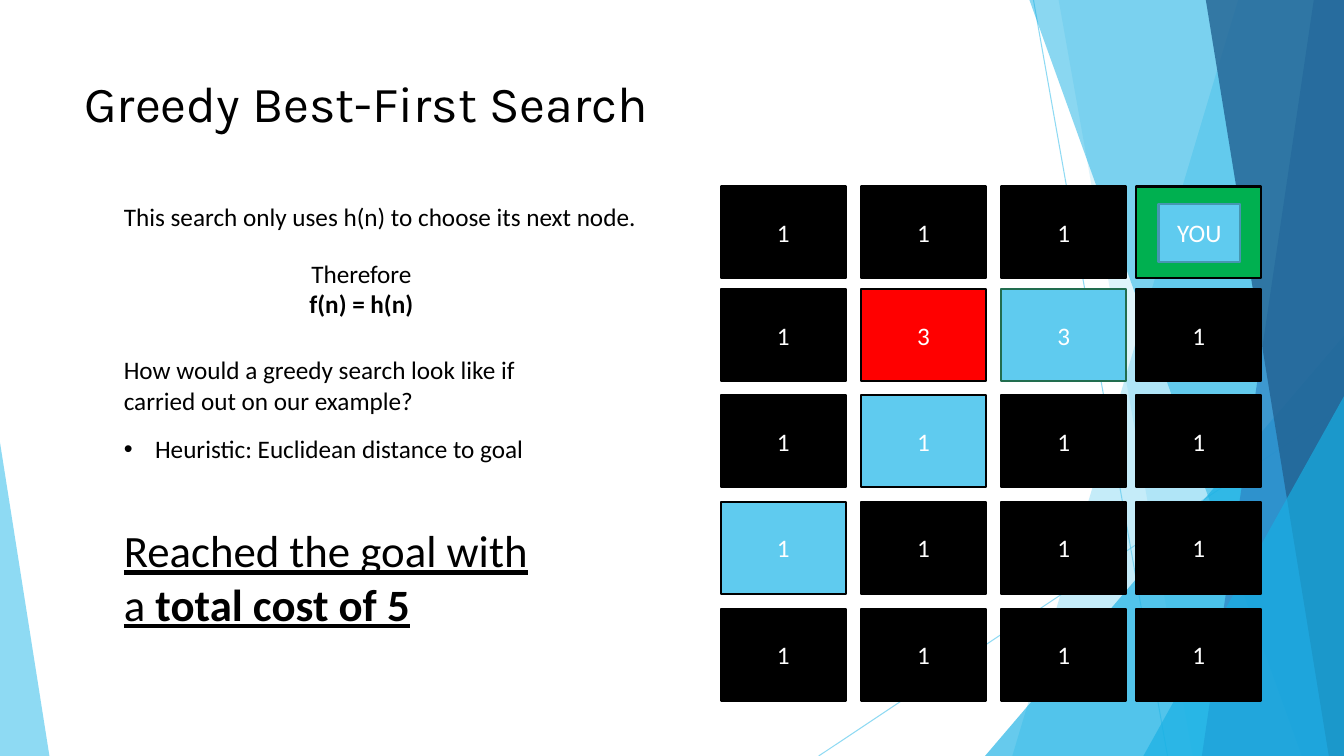
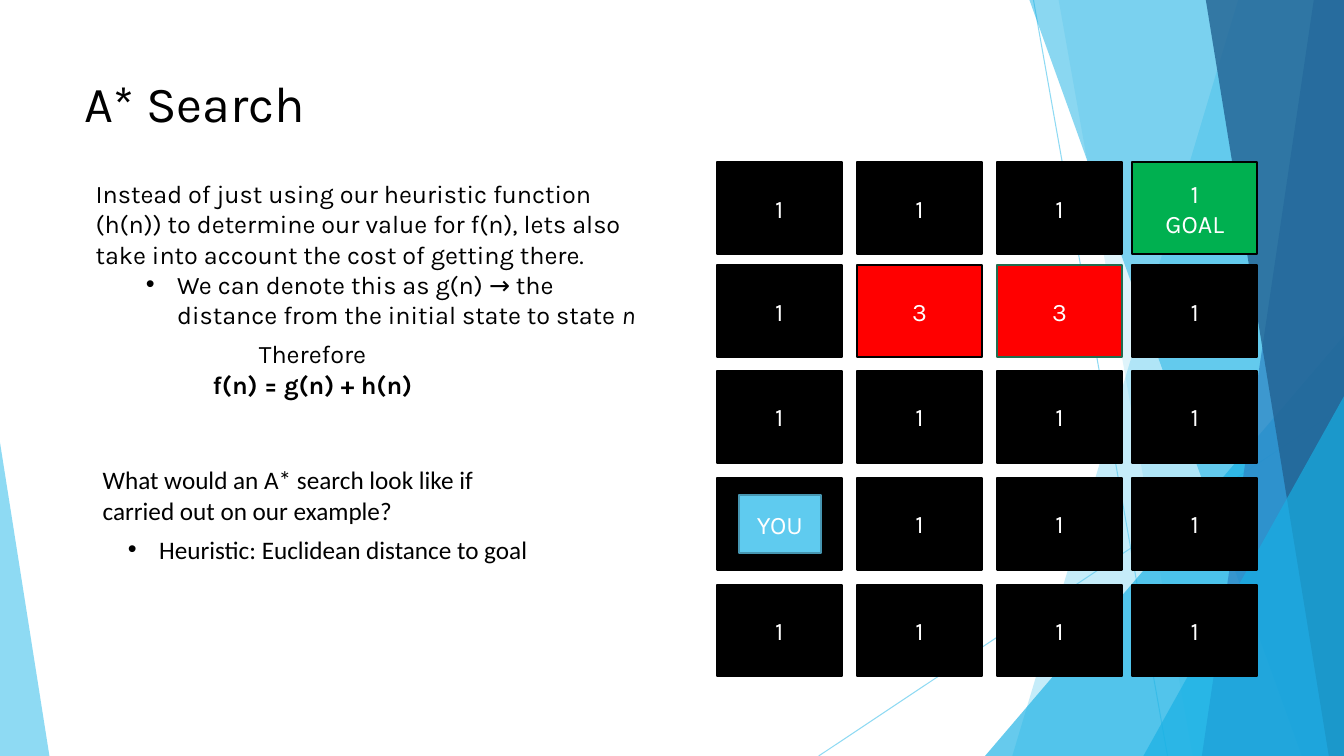
from lxml import etree
from pptx import Presentation
from pptx.dml.color import RGBColor
from pptx.enum.shapes import MSO_CONNECTOR, MSO_SHAPE
from pptx.enum.text import MSO_ANCHOR, PP_ALIGN
from pptx.oxml.ns import qn
from pptx.util import Inches, Pt

RECT, WEDGE = MSO_SHAPE.RECTANGLE, MSO_SHAPE.ISOSCELES_TRIANGLE
LINE, MIDDLE = MSO_CONNECTOR.STRAIGHT, MSO_ANCHOR.MIDDLE
LEFT, CENTER = PP_ALIGN.LEFT, PP_ALIGN.CENTER

# Colours and fonts
BLACK, WHITE, RED, GREEN = "000000", "FFFFFF", "FF0000", "00B050"
SKY, CYAN, BLUE, NAVY = "5FCBEF", "17B0E4", "2E83C3", "226292"
PINE, STEEL = "226D4F", "4696B1"
SANS, HEAD = "Calibri", "Karla"
WIDE, HIGH = 13.33, 7.5

# Background: rays (x1, y1, x2, y2); bands (top x, bottom x, colour, alpha);
# wedges (left, top, width, tip, colour, alpha)
RAYS = [(10.25, 0, 11.58, HIGH), (WIDE, 4.03, 8.12, HIGH)]
BACK = [(12.28, 10.04, SKY, 36), (10.5, 11.83, SKY, 20)]
FRONT = [(10.21, 12.91, CYAN, 50), (13.03, 11.92, BLUE, 70),
         (11.96, 13.18, NAVY, 80)]
LOW = (9.77, 3.33, 3.56, 1, CYAN, 66)
CORNERS = [(11.34, 3.93, 1.99, 1, CYAN, 66), (0, 4.39, 0.49, 0, SKY, 70)]

# Tile grid, as offsets from its top left corner
COLS = [0, 1.39, 2.78, 4.12]
ROWS = [0, 1.02, 2.07, 3.13, 4.19]
TILE, BADGE = (1.24, 0.91), (0.81, 0.58)


def rgb(code):
    return RGBColor.from_string(code)


def para(*runs, align=LEFT, dent=0):
    """Each run is a string or a (string, format) pair; dent adds a bullet."""
    pairs = [(run, {}) if isinstance(run, str) else run for run in runs]
    return pairs, align, dent


class Deck:
    def __init__(self):
        self.file = Presentation()
        self.file.slide_width = Inches(WIDE)
        self.file.slide_height = Inches(HIGH)
        self.shapes = None
        self.font = SANS

    # Slide with background and title
    def start(self, title, font):
        self.shapes = self.file.slides.add_slide(self.file.slide_layouts[6]).shapes
        self.font = font
        for ray in RAYS:
            self.ray(*ray)
        for band in BACK:
            self.band(*band)
        self.wedge(*LOW)
        for band in FRONT:
            self.band(*band)
        for corner in CORNERS:
            self.wedge(*corner)
        self.text(0.74, 0.67, 9.4, 1.44, para(title), font=HEAD, size=36)

    # Background parts
    def fade(self, shape, alpha):
        for color in shape._element.spPr.iter(qn("a:srgbClr")):
            etree.SubElement(color, qn("a:alpha"), val=str(alpha * 1000))

    def paint(self, shape, color, alpha):
        shape.shadow.inherit = False
        shape.fill.solid()
        shape.fill.fore_color.rgb = rgb(color)
        shape.line.fill.background()
        self.fade(shape, alpha)

    def ray(self, *ends):
        ray = self.shapes.add_connector(LINE, *map(Inches, ends))
        ray.line.color.rgb = rgb(SKY)
        ray.line.width = Pt(0.75)
        etree.SubElement(ray._element.spPr, qn("a:effectLst"))
        self.fade(ray, 70)

    def band(self, top, base, color, alpha):
        pen = self.shapes.build_freeform(Inches(top), 0)
        points = [(WIDE, 0), (WIDE, HIGH), (base, HIGH)]
        pen.add_line_segments([(Inches(x), Inches(y)) for x, y in points])
        self.paint(pen.convert_to_shape(), color, alpha)

    def wedge(self, x, y, width, tip, color, alpha):
        wedge = self.shapes.add_shape(
            WEDGE, *map(Inches, (x, y, width, HIGH - y)))
        wedge.adjustments[0] = tip
        self.paint(wedge, color, alpha)

    # Text
    def fill_in(self, frame, paras, font, size, color):
        for i, (runs, align, dent) in enumerate(paras):
            p = frame.add_paragraph() if i else frame.paragraphs[0]
            p.alignment = align
            if dent:
                props = p._p.get_or_add_pPr()
                props.set("marL", str(Inches(dent)))
                props.set("indent", str(Inches(-0.31)))
                etree.SubElement(props, qn("a:buFont"), typeface="Arial")
                etree.SubElement(props, qn("a:buChar"), char="•")
            for words, extra in runs:
                run = p.add_run()
                run.text = words
                run.font.color.rgb = rgb(color)
                style = {"name": font, "size": Pt(size), **extra}
                for key, value in style.items():
                    setattr(run.font, key, value)

    def text(self, x, y, width, height, *paras, font=None, size=18):
        box = self.shapes.add_textbox(*map(Inches, (x, y, width, height)))
        box.text_frame.word_wrap = True
        self.fill_in(box.text_frame, paras, font or self.font, size, BLACK)

    # Tiles
    def tile(self, x, y, size, label, fill=BLACK, edge=BLACK):
        tile = self.shapes.add_shape(RECT, *map(Inches, (x, y, *size)))
        tile.shadow.inherit = False
        tile.fill.solid()
        tile.fill.fore_color.rgb = rgb(fill)
        tile.line.color.rgb = rgb(edge)
        tile.line.width = Pt(1.5)
        tile.text_frame.vertical_anchor = MIDDLE
        if label:
            lines = [para(line, align=CENTER) for line in label.split("\n")]
            self.fill_in(tile.text_frame, lines, self.font, 18, WHITE)

    def grid(self, left, top, marks, you):
        """marks maps (row, column) to label, fill and edge; you is a cell."""
        for r, y in enumerate(ROWS):
            for c, x in enumerate(COLS):
                self.tile(left + x, top + y, TILE, *marks.get((r, c), "1"))
        row, col = you
        self.tile(left + COLS[col] + 0.22, top + ROWS[row] + 0.17, BADGE,
                  "YOU", SKY, STEEL)


def main():
    deck = Deck()
    hint = para("Heuristic: Euclidean distance to goal", dent=0.31)
    bold = {"bold": True}
    line = {"underline": True}

    # Greedy search
    deck.start("Greedy Best-First Search", SANS)
    deck.text(1.13, 1.95, 6.99, 0.4,
              para("This search only uses h(n) to choose its next node."))
    deck.text(2.37, 2.51, 2.43, 0.71, para("Therefore", align=CENTER),
              para(("f(n) = h(n)", bold), align=CENTER))
    deck.text(1.13, 3.47, 4.37, 0.71, para(
        "How would a greedy search look like if carried out on our example?"))
    deck.text(1.13, 4.25, 4.37, 0.4, hint)
    deck.text(1.13, 5.14, 4.37, 1.18,
              para(("Reached the goal with a ", line),
                   ("total cost of 5", {**line, **bold})), size=32)
    deck.grid(7.15, 1.85, {
        (0, 3): ("", GREEN), (1, 1): ("3", RED), (1, 2): ("3", SKY, PINE),
        (2, 1): ("1", SKY), (3, 0): ("1", SKY)}, you=(0, 3))

    # A* search
    deck.start("A* Search", HEAD)
    deck.text(0.85, 1.72, 5.67, 1.62,
              para("Instead of just using our heuristic function (h(n)) to "
                   "determine our value for f(n), lets also take into account "
                   "the cost of getting there."),
              para("We can denote this as g(n) → the distance from the "
                   "initial state to state ", ("n", {"italic": True}),
                   dent=0.81))
    deck.text(1.24, 3.31, 3.72, 0.71, para("Therefore", align=CENTER),
              para(("f(n) = g(n) + h(n)", bold), align=CENTER))
    deck.text(0.92, 4.56, 4.37, 0.71, para(
        "What would an A* search look like if carried out on our example?"),
        font=SANS)
    deck.text(1.17, 5.25, 4.37, 0.4, hint, font=SANS)
    deck.grid(7.11, 1.61, {
        (0, 3): ("1\nGOAL", GREEN), (1, 1): ("3", RED),
        (1, 2): ("3", RED, PINE), (3, 0): ("",)}, you=(3, 0))

    deck.file.save("out.pptx")


if __name__ == "__main__":
    main()
